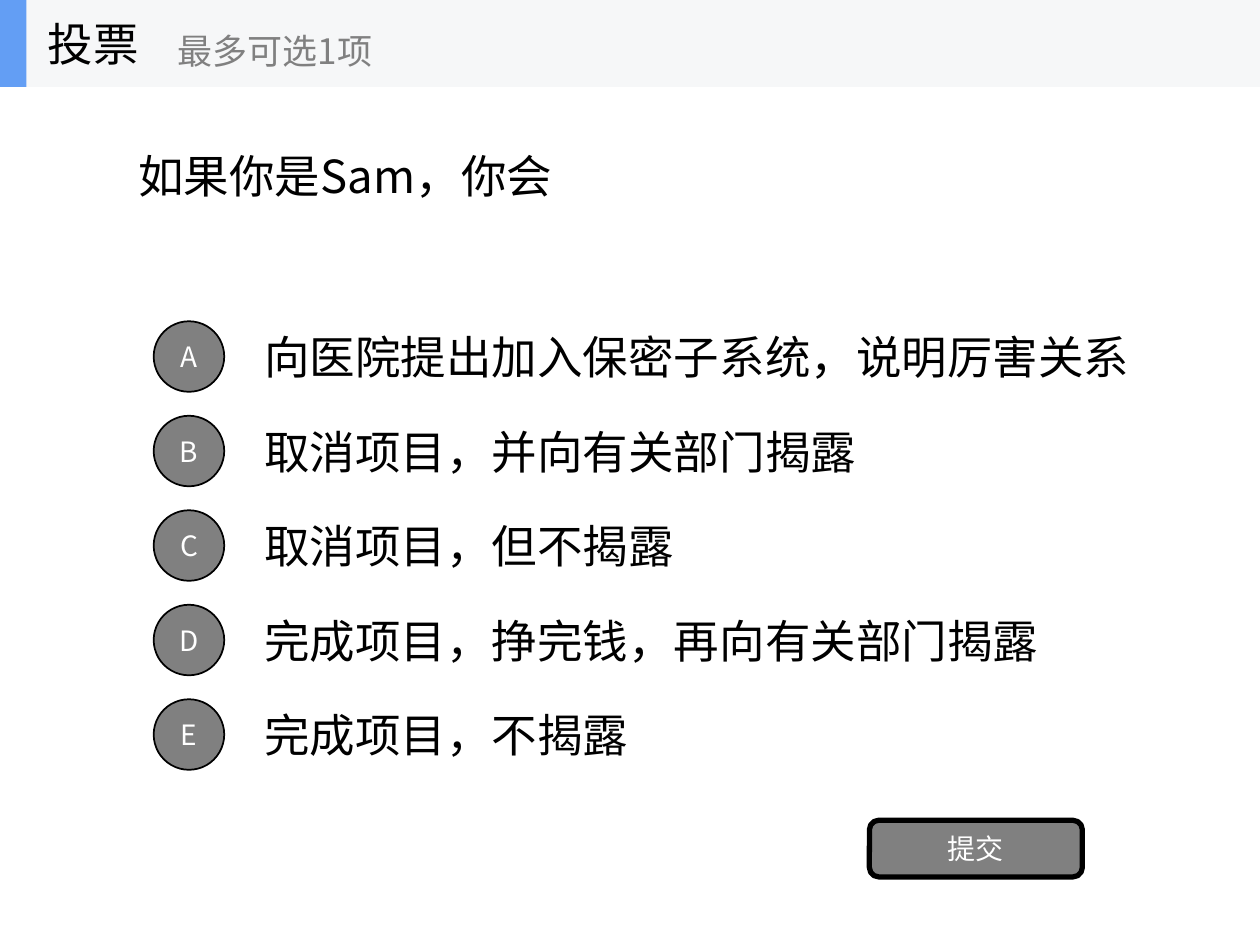
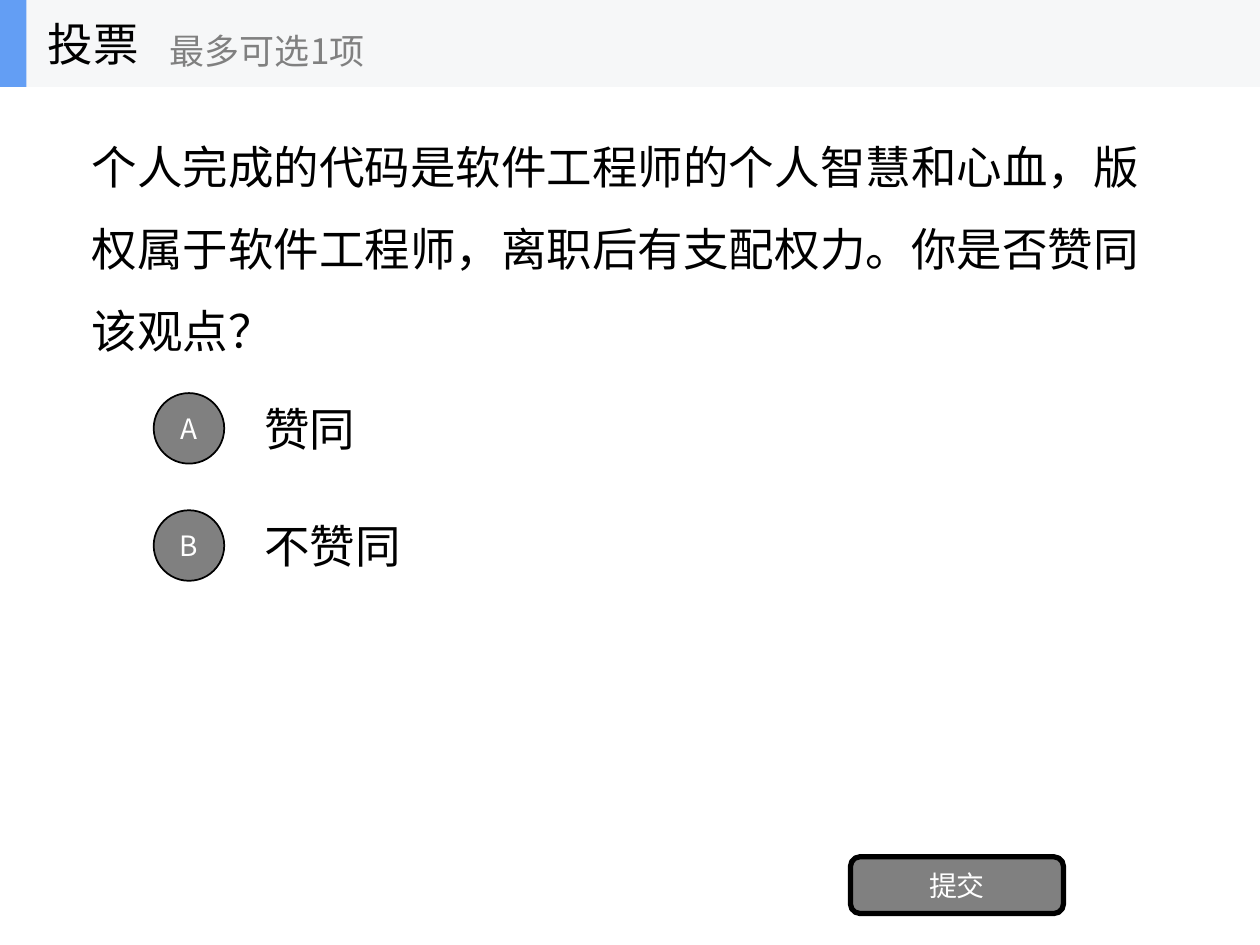
from lxml.etree import SubElement
from pptx import Presentation
from pptx.dml.color import RGBColor
from pptx.enum.shapes import MSO_SHAPE as Shape
from pptx.enum.text import MSO_ANCHOR as Anchor, PP_ALIGN as Align
from pptx.oxml.ns import qn
from pptx.util import Inches, Pt

BLACK = RGBColor(0x00, 0x00, 0x00)
WHITE = RGBColor(0xFF, 0xFF, 0xFF)
GRAY = RGBColor(0x80, 0x80, 0x80)
BAND_GRAY = RGBColor(0xF6, 0xF7, 0xF8)
ACCENT_BLUE = RGBColor(0x63, 0x9E, 0xF4)
FONT = "Noto Sans CJK SC"
BODY_SIZE, HINT_SIZE, LABEL_SIZE = 26, 20, 16
SLIDE_WIDTH, SLIDE_HEIGHT = 10, 7.5
BAND_HEIGHT = 0.69
OPTION_LEFT, OPTION_HEIGHT, BADGE_SIZE = 1.22, 0.7, 0.56
ANSWER_OFFSET = 0.78


def write(frame, text, size, color, align=Align.LEFT, line_spacing=None):
    frame.word_wrap = True
    frame.vertical_anchor = Anchor.MIDDLE
    frame.text = text
    paragraph = frame.paragraphs[0]
    paragraph.alignment = align
    if line_spacing:
        paragraph.line_spacing = line_spacing
    run = paragraph.runs[0]
    run.font.size = Pt(size)
    run.font.name = FONT
    run.font.color.rgb = color
    east_asian = SubElement(run.font._element, qn("a:ea"))
    east_asian.set("typeface", FONT)


def add_text(shapes, box, text, size=BODY_SIZE, color=BLACK, line_spacing=None):
    caption = shapes.add_textbox(*map(Inches, box))
    write(caption.text_frame, text, size, color, line_spacing=line_spacing)


def add_block(shapes, kind, box, fill, line_width=0, label=""):
    block = shapes.add_shape(kind, *map(Inches, box))
    block.shadow.inherit = False
    block.fill.solid()
    block.fill.fore_color.rgb = fill
    if line_width:
        block.line.color.rgb = BLACK
        block.line.width = Pt(line_width)
    else:
        block.line.fill.background()
    if label:
        write(block.text_frame, label, LABEL_SIZE, WHITE, Align.CENTER)


def add_header(slide, hint_left):
    header = slide.shapes.add_group_shape().shapes
    add_block(header, Shape.RECTANGLE, (0, 0, SLIDE_WIDTH, BAND_HEIGHT), BAND_GRAY)
    add_block(header, Shape.RECTANGLE, (0, 0, 0.21, BAND_HEIGHT), ACCENT_BLUE)
    add_text(header, (0.28, 0, 2.08, BAND_HEIGHT), "投票")
    add_text(header, (hint_left, 0.12, 2.5, 0.56), "最多可选1项", HINT_SIZE, GRAY)


def add_options(slide, top, pitch, answers, width):
    badge_inset = (OPTION_HEIGHT - BADGE_SIZE) / 2
    for index, (letter, answer) in enumerate(zip("ABCDE", answers)):
        option_top = top + index * pitch
        add_text(slide.shapes,
                 (OPTION_LEFT + ANSWER_OFFSET, option_top, width, OPTION_HEIGHT), answer)
        add_block(slide.shapes, Shape.OVAL,
                  (OPTION_LEFT, option_top + badge_inset, BADGE_SIZE, BADGE_SIZE),
                  GRAY, 1, letter)


def add_poll(deck, question, question_box, answers, options_top, pitch,
             submit_at, hint_left, line_spacing=None, answer_width=7):
    slide = deck.slides.add_slide(deck.slide_layouts[6])
    add_text(slide.shapes, question_box, question, line_spacing=line_spacing)
    add_options(slide, options_top, pitch, answers, answer_width)
    add_block(slide.shapes, Shape.ROUNDED_RECTANGLE, (*submit_at, 1.69, 0.45),
              GRAY, 3, "提交")
    add_header(slide, hint_left)


def main():
    deck = Presentation()
    deck.slide_width = Inches(SLIDE_WIDTH)
    deck.slide_height = Inches(SLIDE_HEIGHT)
    add_poll(
        deck,
        question="如果你是Sam，你会",
        question_box=(1, 0.77, 8, 1.24),
        answers=["向医院提出加入保密子系统，说明厉害关系",
                 "取消项目，并向有关部门揭露",
                 "取消项目，但不揭露",
                 "完成项目，挣完钱，再向有关部门揭露",
                 "完成项目，不揭露"],
        options_top=2.48, pitch=0.75, submit_at=(6.9, 6.51), hint_left=1.31,
        answer_width=7.33)
    add_poll(
        deck,
        question="个人完成的代码是软件工程师的个人智慧和心血，版权属于软件工程师，"
                 "离职后有支配权力。你是否赞同该观点？",
        question_box=(0.63, 0.69, 8.85, 2.34),
        answers=["赞同", "不赞同"],
        options_top=3.05, pitch=0.93, submit_at=(6.75, 6.8), hint_left=1.25,
        line_spacing=1.5)
    deck.save("out.pptx")


if __name__ == "__main__":
    main()
